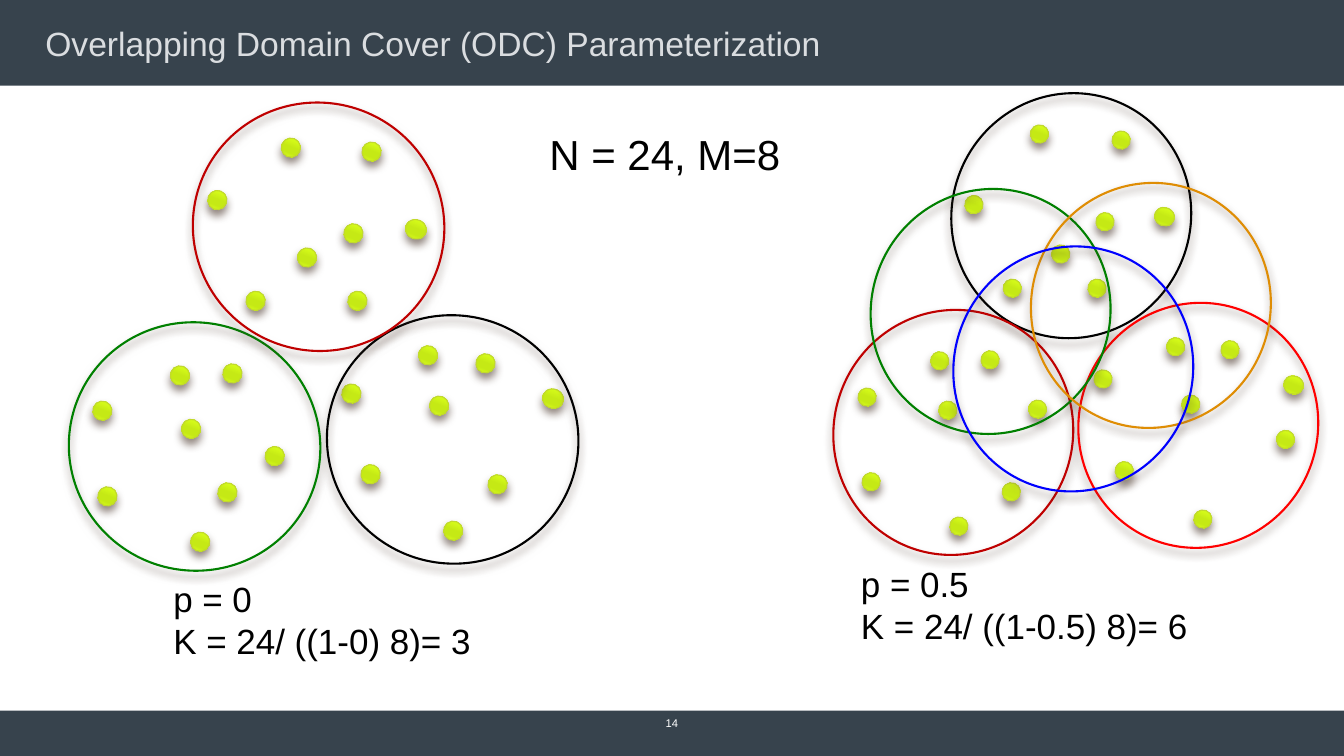
from dataclasses import dataclass

from lxml import etree
from pptx import Presentation
from pptx.dml.color import RGBColor
from pptx.enum.shapes import MSO_SHAPE
from pptx.enum.text import MSO_ANCHOR, MSO_AUTO_SIZE, PP_ALIGN
from pptx.oxml.ns import qn
from pptx.shapes.autoshape import Shape
from pptx.shapes.group import GroupShape
from pptx.slide import Slide
from pptx.util import Inches, Pt

RECTANGLE = MSO_SHAPE.RECTANGLE
OVAL = MSO_SHAPE.OVAL
MIDDLE = MSO_ANCHOR.MIDDLE
TOP = MSO_ANCHOR.TOP
LEFT = PP_ALIGN.LEFT
CENTER = PP_ALIGN.CENTER
GROW = MSO_AUTO_SIZE.SHAPE_TO_FIT_TEXT
FIXED = MSO_AUTO_SIZE.NONE

COLORS = {
    "bar": "37434D",
    "title": "DADDE0",
    "white": "FFFFFF",
    "black": "000000",
    "maroon": "BF0000",
    "red": "FF0000",
    "green": "008000",
    "orange": "DF8D04",
    "blue": "0000FF",
    "dot line": "C1D82F",
    "shadow": "4E3B30",
}
DOT_GRADIENT = {0: "E0FF5A", 25: "D4FA19", 50: "C5E915", 65: "C5E915", 80: "D3F819", 100: "DDFF4C"}
TILT = 21.3
WIDE_DOT_EXTRA = 0.02
BAR_FRAMES = ((0, 7.05, 13.33, 0.45), (0, 0, 13.33, 0.85))


@dataclass(frozen=True)
class Ring:
    left: float
    top: float
    color: str


@dataclass(frozen=True)
class Cover:
    ring_size: tuple[float, float]
    dot_size: float
    back_rings: tuple[Ring, ...]
    dots: tuple[tuple[float, float], ...]
    wide_dots: tuple[tuple[float, float], ...]
    front_rings: tuple[Ring, ...]


@dataclass(frozen=True)
class Label:
    frame: tuple[float, float, float, float]
    lines: tuple[str, ...]
    size: int
    color: str = "black"
    alignment: PP_ALIGN = LEFT
    anchor: MSO_ANCHOR = TOP
    padded: bool = False
    wrap: bool = False
    auto_size: MSO_AUTO_SIZE = GROW


HALF_OVERLAP = Cover(
    ring_size=(2.37, 2.44),
    dot_size=0.18,
    back_rings=(Ring(9.44, 0.92, "black"), Ring(8.27, 3.07, "maroon"), Ring(10.7, 3, "red")),
    dots=(
        (8.51, 3.85), (9.31, 3.98), (8.55, 4.69), (9.42, 5.13), (9.23, 3.49), (12.66, 4.27),
        (12.11, 3.38), (11.57, 3.35), (11.06, 4.58), (11.72, 3.92), (9.73, 3.48), (10.85, 3.67),
        (10.2, 3.97), (9.94, 4.79), (10.87, 2.11), (11.03, 1.3), (10.79, 2.77), (10.22, 1.24),
        (9.95, 2.77), (10.43, 2.43), (9.57, 1.94), (11.84, 5.06),
    ),
    wide_dots=((12.73, 3.73), (11.45, 2.06)),
    front_rings=(Ring(8.64, 1.87, "green"), Ring(10.23, 1.81, "orange"), Ring(9.46, 2.44, "blue")),
)
NO_OVERLAP = Cover(
    ring_size=(2.5, 2.46),
    dot_size=0.19,
    back_rings=(),
    dots=(
        (0.92, 3.98), (1.8, 4.16), (0.97, 4.83), (1.89, 5.28), (1.69, 3.63), (4.84, 4.71),
        (4.72, 3.51), (4.4, 5.17), (4.15, 3.43), (3.58, 4.61), (4.26, 3.93), (2.21, 3.61),
        (3.39, 3.81), (2.63, 4.43), (2.16, 4.79), (3.41, 2.22), (3.59, 1.41), (3.45, 2.89),
        (2.79, 1.37), (2.44, 2.89), (2.95, 2.46), (2.06, 1.89),
    ),
    wide_dots=((5.38, 3.86), (4.02, 2.18)),
    front_rings=(Ring(3.24, 3.13, "black"), Ring(0.68, 3.2, "green"), Ring(1.91, 1.02, "maroon")),
)
TITLE = Label((0.33, 0.2, 12.66, 0.45), ("Overlapping Domain Cover (ODC) Parameterization",), 24,
              "title", anchor=MIDDLE, padded=True, wrap=True, auto_size=FIXED)
LABELS = (
    Label((6.11, 7.08, 1.11, 0.18), ("14",), 8, "white", CENTER, MIDDLE, True, True, FIXED),
    Label((8.44, 5.53, 3.48, 0.94), ("p = 0.5", "K = 24/ ((1-0.5) 8)= 6"), 25),
    Label((1.62, 5.68, 3.18, 0.94), ("p = 0", "K = 24/ ((1-0) 8)= 3"), 25),
    Label((5.35, 1.23, 2.52, 0.61), ("N = 24, M=8",), 30),
)


def rgb(name: str) -> RGBColor:
    return RGBColor.from_string(COLORS[name])


def set_values(target: object, values: dict[str, object]) -> None:
    for name, value in values.items():
        setattr(target, name, value)


def write_label(shape: Shape, label: Label) -> None:
    left, top, width, height = map(Inches, label.frame)
    set_values(shape, {"left": left, "top": top, "width": width, "height": height})
    side, edge = (Inches(0.12), Inches(0.06)) if label.padded else (Inches(0.1), Inches(0.05))
    frame = shape.text_frame
    frame.text = "\n".join(label.lines)
    set_values(frame, {
        "word_wrap": label.wrap, "auto_size": label.auto_size, "vertical_anchor": label.anchor,
        "margin_left": side, "margin_right": side, "margin_top": edge, "margin_bottom": edge,
    })
    for paragraph in frame.paragraphs:
        paragraph.alignment = label.alignment
        set_values(paragraph.font, {"name": "Arial", "size": Pt(label.size)})
        paragraph.font.color.rgb = rgb(label.color)


def add_color(parent: etree._Element, value: str) -> etree._Element:
    return etree.SubElement(parent, qn("a:srgbClr"), val=value)


def add_shadow(shape: Shape) -> None:
    shape.shadow.inherit = False
    effects = shape.element.spPr.find(qn("a:effectLst"))
    shadow = etree.SubElement(effects, qn("a:outerShdw"), blurRad=str(Pt(6)), dist=str(Pt(4)),
                              dir="5400000", rotWithShape="0")
    etree.SubElement(add_color(shadow, COLORS["shadow"]), qn("a:alpha"), val="60000")


def add_dot_gradient(shape: Shape) -> None:
    gradient = etree.Element(qn("a:gradFill"), rotWithShape="1")
    stops = etree.SubElement(gradient, qn("a:gsLst"))
    for position, value in DOT_GRADIENT.items():
        add_color(etree.SubElement(stops, qn("a:gs"), pos=str(position * 1000)), value)
    etree.SubElement(gradient, qn("a:lin"), ang="5400000", scaled="0")
    shape.element.spPr.find(qn("a:prstGeom")).addnext(gradient)


def add_oval(group: GroupShape, left: float, top: float, width: float, height: float,
             color: str, line_width: float) -> Shape:
    shape = group.shapes.add_shape(OVAL, Inches(left), Inches(top), Inches(width), Inches(height))
    shape.rotation = TILT
    shape.line.color.rgb = rgb(color)
    shape.line.width = Pt(line_width)
    add_shadow(shape)
    return shape


def draw_rings(group: GroupShape, rings: tuple[Ring, ...], size: tuple[float, float]) -> None:
    for ring in rings:
        add_oval(group, ring.left, ring.top, *size, ring.color, 1.5).fill.background()


def draw_cover(slide: Slide, cover: Cover) -> None:
    group = slide.shapes.add_group_shape()
    draw_rings(group, cover.back_rings, cover.ring_size)
    for dots, extra in ((cover.dots, 0), (cover.wide_dots, WIDE_DOT_EXTRA)):
        for left, top in dots:
            dot = add_oval(group, left, top, cover.dot_size + extra, cover.dot_size, "dot line", 0.79)
            add_dot_gradient(dot)
    draw_rings(group, cover.front_rings, cover.ring_size)


def main() -> None:
    presentation = Presentation()
    set_values(presentation, {"slide_width": Inches(13.33), "slide_height": Inches(7.5)})
    slide = presentation.slides.add_slide(presentation.slide_layouts[5])
    title = slide.shapes.title
    for frame in BAR_FRAMES:
        bar = slide.shapes.add_shape(RECTANGLE, *map(Inches, frame))
        bar.shadow.inherit = False
        bar.fill.solid()
        bar.fill.fore_color.rgb = rgb("bar")
        bar.line.fill.background()
        title.element.addprevious(bar.element)
    write_label(title, TITLE)
    for cover in (HALF_OVERLAP, NO_OVERLAP):
        draw_cover(slide, cover)
    for label in LABELS:
        write_label(slide.shapes.add_textbox(*map(Inches, label.frame)), label)
    presentation.save("out.pptx")


if __name__ == "__main__":
    main()
